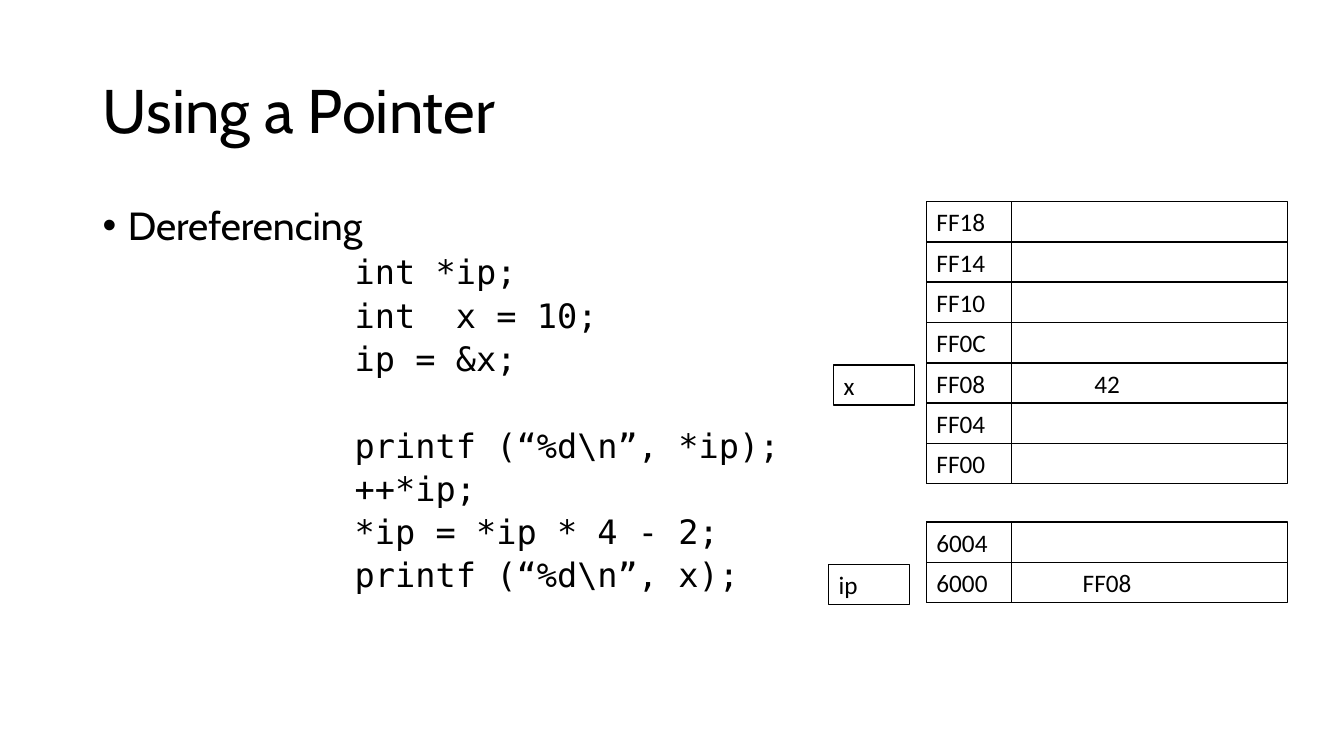
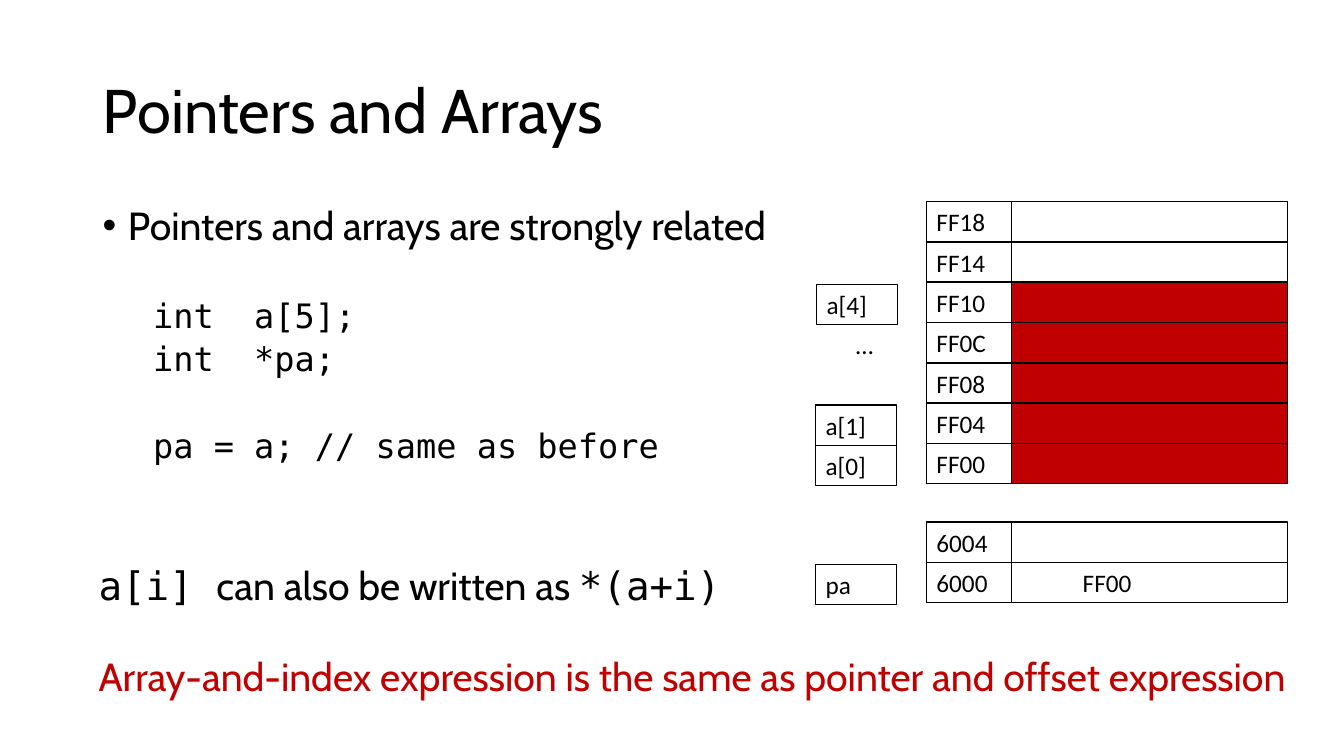
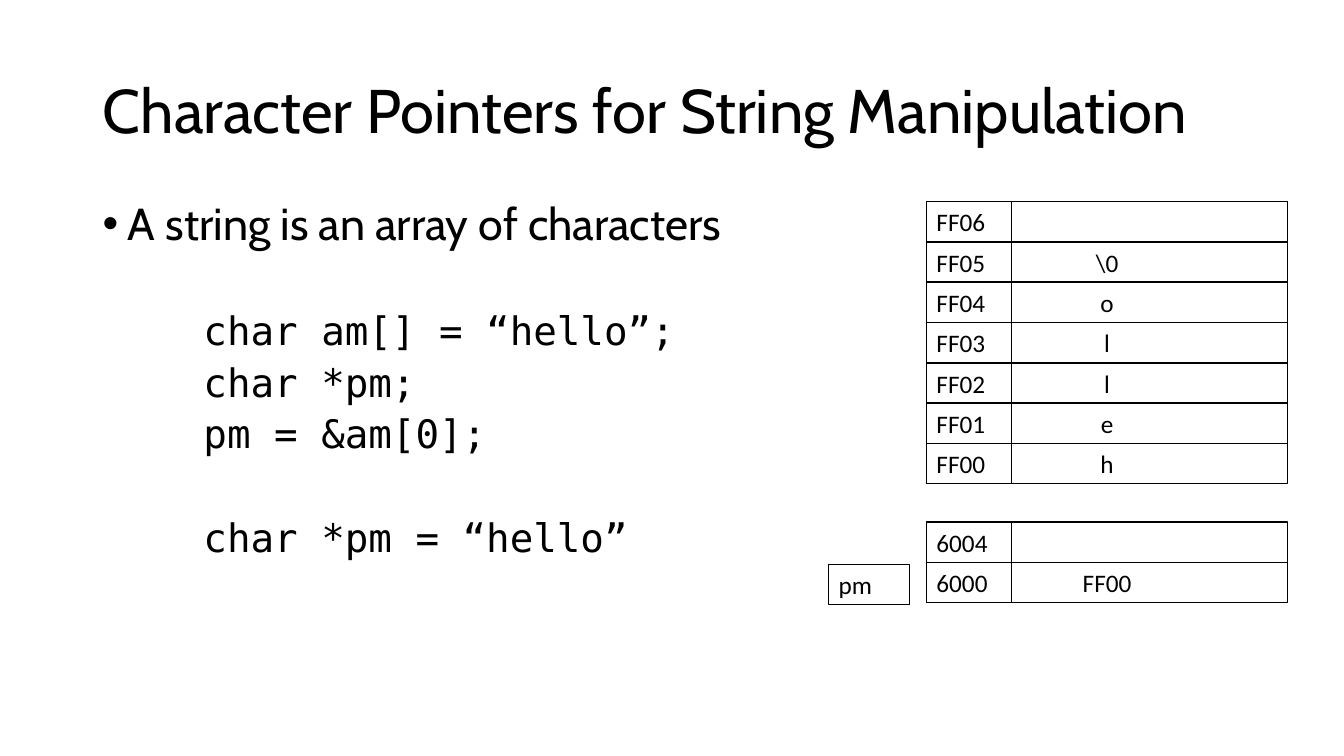
from pptx import Presentation
from pptx.dml.color import RGBColor
from pptx.enum.shapes import MSO_SHAPE
from pptx.enum.text import MSO_ANCHOR, MSO_AUTO_SIZE, PP_ALIGN
from pptx.oxml.ns import qn
from pptx.util import Inches, Pt

RECT = MSO_SHAPE.RECTANGLE
MIDDLE, TOP = MSO_ANCHOR.MIDDLE, MSO_ANCHOR.TOP
LEFT, CENTER = PP_ALIGN.LEFT, PP_ALIGN.CENTER
FIXED = MSO_AUTO_SIZE.NONE

BLACK, WHITE, RED = "000000", "FFFFFF", "C00000"
HEAD, LABEL, MONO = "Cabin", "Calibri", "DejaVu Sans Mono"

# Memory diagram grid, in inches
MEM_LEFT, MEM_W, ADDR_W, TAG_W, ROW_H = 9.19, 3.58, 0.84, 0.8, 0.4
STACK_TOPS = (2, 5.18)
TAG_DROP = 0.02

WORDS = ["FF18", "FF14", "FF10", "FF0C", "FF08", "FF04", "FF00"]
BYTES = ["FF06", "FF05", "FF04", "FF03", "FF02", "FF01", "FF00"]
POINTERS = ["6004", "6000"]

# An empty string in "code" leaves one line of space before the next line.
# A tag is (text, left, address, boxed).
SLIDES = [
    {
        "title": "Using a Pointer",
        "bullet": "Dereferencing",
        "bullet_size": 28, "code_size": 24, "code_indent": 2.5,
        "line_spacing": 0.9, "code_gap": 5, "blank_line": 31, "body_width": 11.5,
        "code": ["int *ip;", "int  x = 10;", "ip = &x;", "",
                 "printf (“%d\\n”, *ip);", "++*ip;",
                 "*ip = *ip * 4 - 2;", "printf (“%d\\n”, x);"],
        "addresses": WORDS,
        "values": {"FF08": "42", "6000": "FF08"},
        "filled": [],
        "tags": [("ip", 8.22, "6000", True), ("x", 8.27, "FF08", True)],
        "notes": [],
    },
    {
        "title": "Pointers and Arrays",
        "bullet": "Pointers and arrays are strongly related",
        "bullet_size": 28, "code_size": 24, "code_indent": 0.5,
        "line_spacing": 0.9, "code_gap": 5, "blank_line": 31, "body_width": 7.71,
        "code": ["", "int  a[5];", "int  *pa;", "", "pa = a; // same as before"],
        "addresses": WORDS,
        "values": {"6000": "FF00"},
        "filled": WORDS[2:],
        "tags": [("a[4]", 8.1, "FF10", True), ("…", 8.39, "FF0C", False),
                 ("a[1]", 8.09, "FF04", True), ("a[0]", 8.09, "FF00", True),
                 ("pa", 8.09, "6000", True)],
        "notes": [
            (5.52, 6.65, BLACK, [("a[i] ", MONO), ("can also be written as ", HEAD),
                                 ("*(a+i)", MONO)]),
            (6.42, 12.3, RED, [("Array-and-index expression is the same as "
                                "pointer and offset expression", HEAD)]),
        ],
    },
    {
        "title": "Character Pointers for String Manipulation",
        "bullet": "A string is an array of characters",
        "bullet_size": 32, "code_size": 28, "code_indent": 1,
        "line_spacing": 0.8, "code_gap": 10, "blank_line": 37, "body_width": 11.5,
        "code": ["", "char am[] = “hello”;", "char *pm;", "pm = &am[0];", "",
                 "char *pm = “hello”"],
        "addresses": BYTES,
        "values": {"FF05": "\\0", "FF04": "o", "FF03": "l", "FF02": "l",
                   "FF01": "e", "FF00": "h", "6000": "FF00"},
        "filled": [],
        "tags": [("pm", 8.22, "6000", True)],
        "notes": [],
    },
]


def rgb(color):
    """Turn a hex string into a colour."""
    return RGBColor.from_string(color)


def style(target, font, size, color=BLACK):
    """Set the font of a paragraph or run."""
    target.font.name = font
    target.font.size = Pt(size)
    target.font.color.rgb = rgb(color)


def text_box(s, left, top, width, height):
    """Add a wrapping text box and return its text frame."""
    tf = s.shapes.add_textbox(*map(Inches, (left, top, width, height))).text_frame
    tf.word_wrap = True
    return tf


def add_title(s, text):
    """Place and format the title placeholder."""
    title = s.shapes.title
    title.left, title.top, title.width, title.height = map(
        Inches, (0.92, 0.4, 11.5, 1.45))
    tf = title.text_frame
    tf.text = text
    tf.auto_size = FIXED
    tf.vertical_anchor = MIDDLE
    p = tf.paragraphs[0]
    p.alignment = LEFT
    p.line_spacing = 0.9
    style(p, HEAD, 44)


def indent(p, left, first=0):
    """Set the left margin and first-line indent of a paragraph."""
    pPr = p._p.get_or_add_pPr()
    pPr.set("marL", str(Inches(left)))
    pPr.set("indent", str(Inches(first)))
    return pPr


def add_body(s, data):
    """Write the bullet and the code lines below it."""
    tf = text_box(s, 0.92, 2, data["body_width"], 4.76)
    p = tf.paragraphs[0]
    p.text = data["bullet"]
    p.line_spacing = data["line_spacing"]
    p.space_before = Pt(10)
    style(p, HEAD, data["bullet_size"])
    pPr = indent(p, 0.25, -0.25)
    pPr.makeelement(qn("a:buFont"))
    for tag, key, value in (("a:buFont", "typeface", "Arial"),
                            ("a:buChar", "char", "•")):
        pPr.append(pPr.makeelement(qn(tag), {key: value}))

    gap = data["code_gap"]
    for line in data["code"]:
        if not line:
            gap += data["blank_line"]
            continue
        p = tf.add_paragraph()
        p.text = line
        p.line_spacing = data["line_spacing"]
        p.space_before = Pt(gap)
        style(p, MONO, data["code_size"])
        indent(p, data["code_indent"])
        gap = data["code_gap"]


def add_cell(s, left, top, width, text="", fill=None, centered=False):
    """Add one outlined memory box with an optional fill and label."""
    cell = s.shapes.add_shape(RECT, *map(Inches, (left, top, width, ROW_H)))
    cell.shadow.inherit = False
    cell.line.color.rgb = rgb(BLACK)
    cell.line.width = Pt(1)
    if fill:
        cell.fill.solid()
        cell.fill.fore_color.rgb = rgb(fill)
    else:
        cell.fill.background()
    if text:
        tf = cell.text_frame
        tf.text = text
        tf.word_wrap = not centered
        tf.vertical_anchor = MIDDLE if centered else TOP
        p = tf.paragraphs[0]
        p.alignment = CENTER if centered else LEFT
        style(p, LABEL, 18)


def add_memory(s, data):
    """Draw both address stacks and the variable tags beside them."""
    row_tops = {}
    for top, addresses in zip(STACK_TOPS, (data["addresses"], POINTERS)):
        for row, address in enumerate(addresses):
            y = row_tops[address] = top + row * ROW_H
            fill = RED if address in data["filled"] else None
            add_cell(s, MEM_LEFT, y, MEM_W, data["values"].get(address, ""), fill, True)
            add_cell(s, MEM_LEFT, y, ADDR_W, address, WHITE)
    for text, left, address, boxed in data["tags"]:
        y = row_tops[address] + TAG_DROP
        if boxed:
            add_cell(s, left, y, TAG_W, text, WHITE)
        else:
            p = text_box(s, left, y, TAG_W / 2, ROW_H).paragraphs[0]
            p.text = text
            style(p, LABEL, 18)


def add_notes(s, notes):
    """Write the statements at the foot of the slide."""
    for top, width, color, runs in notes:
        p = text_box(s, 0.88, top, width, 0.57).paragraphs[0]
        for text, font in runs:
            r = p.add_run()
            r.text = text
            style(r, font, 28, color)


prs = Presentation()
prs.slide_width, prs.slide_height = Inches(13.33), Inches(7.5)
title_only = prs.slide_layouts[5]
for data in SLIDES:
    s = prs.slides.add_slide(title_only)
    add_title(s, data["title"])
    add_body(s, data)
    add_memory(s, data)
    add_notes(s, data["notes"])
prs.save("out.pptx")
